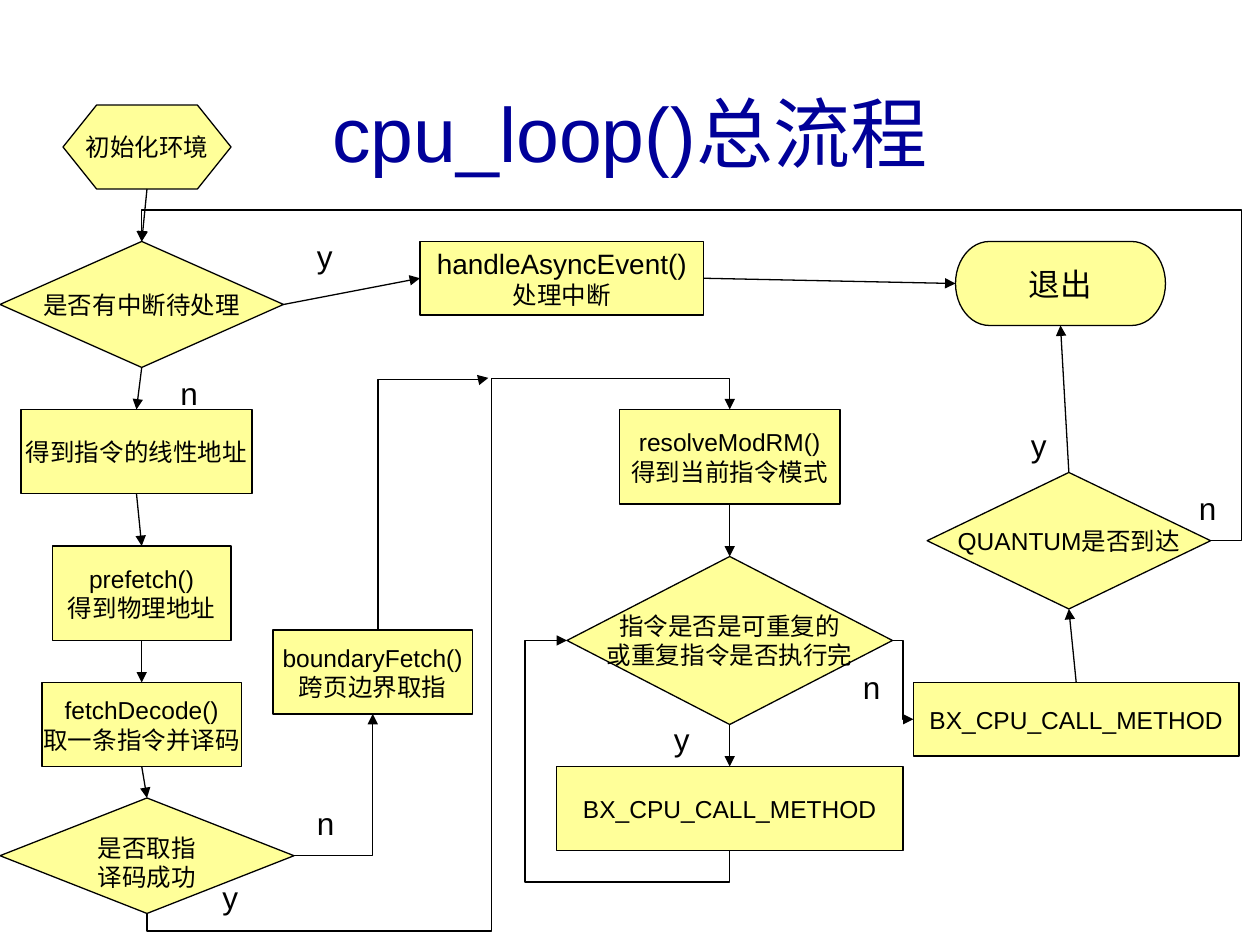
from lxml.etree import SubElement
from pptx import Presentation
from pptx.dml.color import RGBColor
from pptx.enum.shapes import MSO_CONNECTOR as LINE, MSO_SHAPE as SHAPE
from pptx.enum.text import MSO_ANCHOR as ANCHOR, MSO_AUTO_SIZE as FIT, PP_ALIGN as ALIGN
from pptx.oxml.ns import qn
from pptx.util import Cm, Pt

NAVY = RGBColor(0x00, 0x00, 0x99)
YELLOW = RGBColor(0xFF, 0xFF, 0x99)
BLACK = RGBColor(0x00, 0x00, 0x00)
FONT = "Arial"
GRID = Cm(25.4) / 120
TOP, LEFT, BOTTOM, RIGHT = range(4)

TITLE = "cpu_loop()总流程"
PROCESS, DECISION = SHAPE.FLOWCHART_PROCESS, SHAPE.FLOWCHART_DECISION
BOX = SHAPE.RECTANGLE

# name: shape, (left, top, width, height) in grid units, [(text, size)]
NODES = {
    "init": (SHAPE.FLOWCHART_PREPARATION, (6, 10, 16, 8), [("初始化环境", 14)]),
    "linear": (PROCESS, (2, 39, 22, 8), [("得到指令的线性地址", 14)]),
    "interrupt": (DECISION, (0, 23, 27, 12), [("是否有中断待处理", 14)]),
    "prefetch": (PROCESS, (5, 52, 17, 9), [("prefetch()", 14), ("得到物理地址", 14)]),
    "decode": (BOX, (4, 65, 19, 8), [("fetchDecode()", 14), ("取一条指令并译码", 14)]),
    "resolve": (PROCESS, (59, 39, 21, 9), [("resolveModRM()", 14), ("得到当前指令模式", 14)]),
    "repeat": (DECISION, (54, 53, 31, 16),
               [("指令是否是可重复的", 14), ("或重复指令是否执行完", 14)]),
    "call_once": (BOX, (87, 65, 31, 7), [("BX_CPU_CALL_METHOD", 14)]),
    "call_repeat": (BOX, (53, 73, 33, 8), [("BX_CPU_CALL_METHOD", 14)]),
    "quantum": (DECISION, (88.3, 45, 27, 13), [("QUANTUM是否到达", 14)]),
    "async": (BOX, (40, 23, 27, 7), [("handleAsyncEvent()", 16), ("处理中断", 14)]),
    "exit": (SHAPE.FLOWCHART_TERMINATOR, (91, 23, 20, 8), [("退出", 18)]),
    "fetched": (DECISION, (0, 76, 28, 11), [("是否取指", 14), ("译码成功", 14)]),
    "boundary": (BOX, (26, 60, 19, 8), [("boundaryFetch()", 14), ("跨页边界取指", 14)]),
}
TOP_ANCHORED = {"fetched"}
STRAIGHT = [
    ("init", BOTTOM, "interrupt", TOP),
    ("interrupt", BOTTOM, "linear", TOP),
    ("linear", BOTTOM, "prefetch", TOP),
    ("prefetch", BOTTOM, "decode", TOP),
    ("decode", BOTTOM, "fetched", TOP),
    ("resolve", BOTTOM, "repeat", TOP),
    ("repeat", BOTTOM, "call_repeat", TOP),
    ("call_once", TOP, "quantum", BOTTOM),
    ("interrupt", RIGHT, "async", LEFT),
    ("async", RIGHT, "exit", LEFT),
    ("quantum", TOP, "exit", BOTTOM),
]
BENT = [
    (("fetched", BOTTOM), ("resolve", TOP), 90, [-0.035, 0.591, 1.062]),
    (("call_repeat", BOTTOM), ("repeat", LEFT), 270, [-0.15, 1.258]),
    (("repeat", RIGHT), ("call_once", LEFT), 0, [0.5]),
    (("quantum", RIGHT), ("interrupt", TOP), 0, [-0.029, 1.105]),
    (("fetched", RIGHT), ("boundary", BOTTOM), 0, []),
    ((36, 60), (46.5, 36), 90, [0.993]),
]
LABELS = [
    ("y", 29, 22), ("n", 16, 35), ("y", 63, 68), ("n", 81, 63),
    ("y", 97, 40), ("n", 113, 46), ("n", 29, 76), ("y", 20, 83),
]


def units(*values):
    return [round(v * GRID) for v in values]


def style(p, size, color=BLACK, align=ALIGN.CENTER):
    p.alignment = align
    p.font.name, p.font.size = FONT, Pt(size)
    p.font.color.rgb = color


def add_node(shapes, name):
    kind, bounds, lines = NODES[name]
    sp = shapes.add_shape(kind, *units(*bounds))
    sp.shadow.inherit = False
    sp.fill.solid()
    sp.fill.fore_color.rgb = YELLOW
    sp.line.color.rgb = BLACK
    sp.line.width = Pt(0.75)
    tf = sp.text_frame
    tf.word_wrap = False
    tf.vertical_anchor = ANCHOR.TOP if name in TOP_ANCHORED else ANCHOR.MIDDLE
    for i, (text, size) in enumerate(lines):
        p = tf.add_paragraph() if i else tf.paragraphs[0]
        p.text = text
        style(p, size)
    return sp


def finish_arrow(cxn):
    cxn.line.color.rgb = BLACK
    cxn.line.width = Pt(0.75)
    spPr = cxn._element.spPr
    SubElement(spPr.find(qn("a:ln")), qn("a:tailEnd"), type="triangle")
    SubElement(spPr, qn("a:effectLst"))


def point(end):
    if end[0] not in NODES:
        return end
    name, side = end
    x, y, w, h = NODES[name][1]
    return [(x + w / 2, y), (x, y + h / 2), (x + w / 2, y + h), (x + w, y + h / 2)][side]


def add_bent(shapes, start, end, angle, bends):
    (x1, y1), (x2, y2) = point(start), point(end)
    cx, cy, dx, dy = (x1 + x2) / 2, (y1 + y2) / 2, (x2 - x1) / 2, (y2 - y1) / 2
    dx, dy = {0: (dx, dy), 90: (dy, -dx), 270: (-dy, dx)}[angle]
    cxn = shapes.add_connector(LINE.ELBOW, *units(cx - dx, cy - dy, cx + dx, cy + dy))
    spPr = cxn._element.spPr
    spPr.find(qn("a:xfrm")).set("rot", str(angle * 60000))
    geom = spPr.find(qn("a:prstGeom"))
    geom.set("prst", f"bentConnector{len(bends) + 2}")
    guides = geom.find(qn("a:avLst"))
    if guides is None:
        guides = SubElement(geom, qn("a:avLst"))
    for i, bend in enumerate(bends, 1):
        SubElement(guides, qn("a:gd"), name=f"adj{i}", fmla=f"val {round(bend * 100000)}")
    finish_arrow(cxn)


def main():
    prs = Presentation()
    prs.slide_width, prs.slide_height = Cm(25.4), Cm(19.05)
    s = prs.slides.add_slide(prs.slide_layouts[5])
    title = s.shapes.title
    title.left, title.top, title.width, title.height = units(4, 5, 112, 15)
    tf = title.text_frame
    tf.text = TITLE
    tf.auto_size, tf.vertical_anchor = FIT.NONE, ANCHOR.MIDDLE
    style(tf.paragraphs[0], 44, NAVY)

    nodes = {name: add_node(s.shapes, name) for name in NODES}
    for source, out_side, target, in_side in STRAIGHT:
        cxn = s.shapes.add_connector(LINE.STRAIGHT, 0, 0, 0, 0)
        cxn.begin_connect(nodes[source], out_side)
        cxn.end_connect(nodes[target], in_side)
        finish_arrow(cxn)
    for bent in BENT:
        add_bent(s.shapes, *bent)
    for text, x, y in LABELS:
        tf = s.shapes.add_textbox(*units(x, y, 4, 4.8)).text_frame
        tf.word_wrap = True
        tf.text = text
        style(tf.paragraphs[0], 18, align=ALIGN.LEFT)
    prs.save("out.pptx")


if __name__ == "__main__":
    main()
